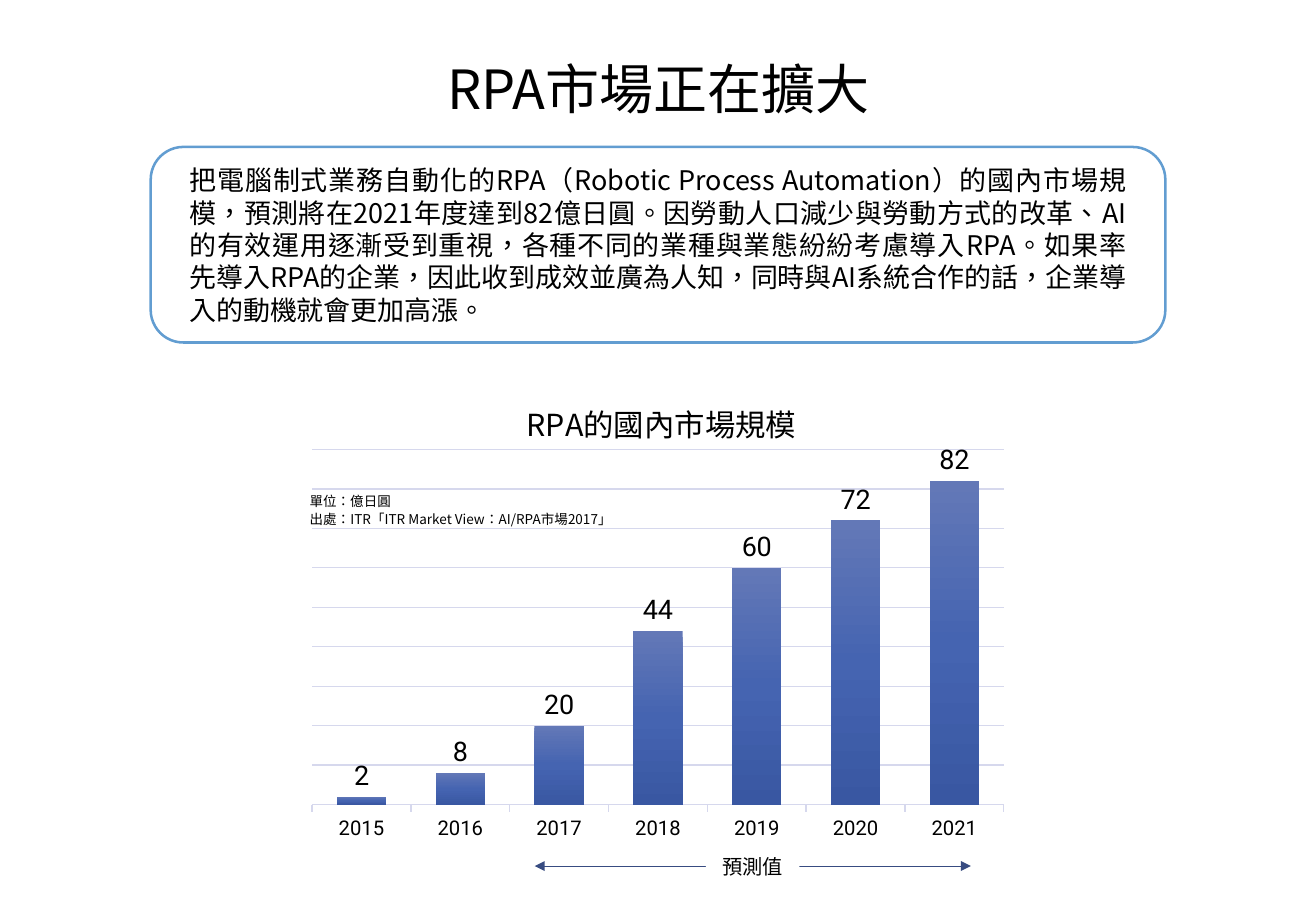
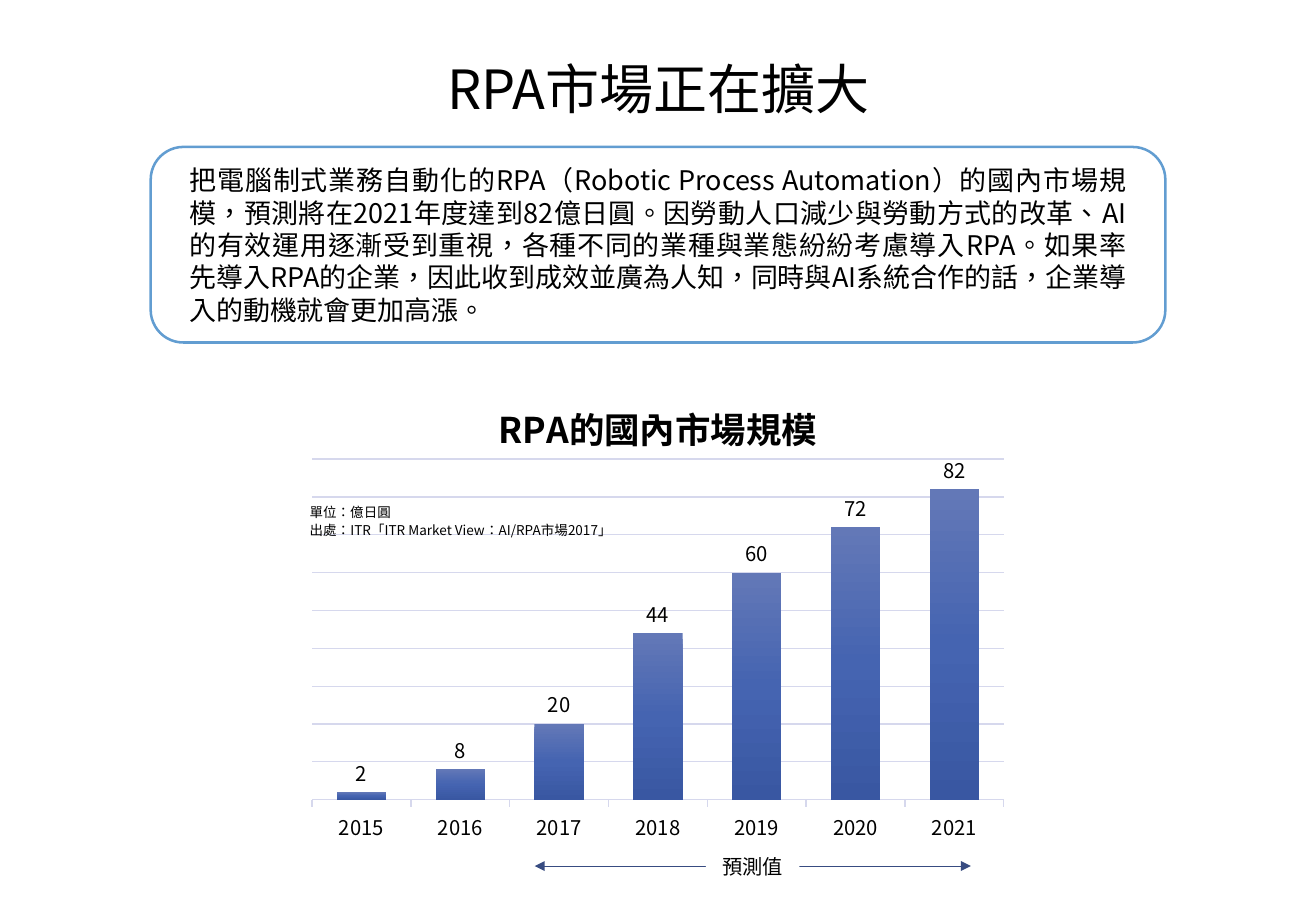
"""Build two slides on the growth of the RPA market."""
from pptx import Presentation
from pptx.chart.data import CategoryChartData
from pptx.dml.color import RGBColor
from pptx.enum import chart as charts, lang, shapes, text
from pptx.oxml import parse_xml
from pptx.oxml.ns import nsdecls, qn
from pptx.util import Inches, Pt

BLACK = RGBColor(0x00, 0x00, 0x00)
WHITE = RGBColor(0xFF, 0xFF, 0xFF)
FRAME_BLUE = RGBColor(0x62, 0x9D, 0xD1)
ARROW_BLUE = RGBColor(0x38, 0x4C, 0x81)
GRID_GREY = RGBColor(0xD6, 0xD8, 0xED)
BAR_GRADIENT = [
    (0, RGBColor(0x63, 0x78, 0xB7)),
    (50, RGBColor(0x45, 0x64, 0xB1)),
    (100, RGBColor(0x39, 0x57, 0xA2)),
]

TITLE = "RPA市場正在擴大"
SUMMARY = (
    "把電腦制式業務自動化的RPA（Robotic Process Automation）的國內市場規模，"
    "預測將在2021年度達到82億日圓。因勞動人口減少與勞動方式的改革、"
    "AI的有效運用逐漸受到重視，各種不同的業種與業態紛紛考慮導入RPA。"
    "如果率先導入RPA的企業，因此收到成效並廣為人知，同時與AI系統合作的話，"
    "企業導入的動機就會更加高漲。"
)
CHART_TITLE = "RPA的國內市場規模"
NOTE = "單位：億日圓\n出處：ITR「ITR Market View：AI/RPA市場2017」"
FORECAST = "預測值"
MARKET = {"2015": 2, "2016": 8, "2017": 20, "2018": 44, "2019": 60, "2020": 72, "2021": 82}

SLIDES = [
    {
        "font": "Noto Sans CJK SC", "chart_font": "Roboto", "label_size": 16, "note_top": 4.01,
        "chart_title": {"size": 18}, "title_place": {"x": 0.31, "y": 0.05},
        "plot_place": {"x": 0.02, "y": 0.17, "w": 0.96, "h": 0.74},
    },
    {
        "font": "Noto Sans CJK JP", "chart_font": "Noto Sans CJK JP", "label_size": 12, "note_top": 4.1,
        "chart_title": {"size": 21, "bold": True}, "title_place": {"x": 0.27, "y": 0.05},
        "plot_place": {"x": 0.02, "y": 0.19, "w": 0.96, "h": 0.71},
    },
]


def write(frame, content, font, size, bold=False, align=None, line_height=None):
    """Fill a text frame, one paragraph for each line of content."""
    for index, line in enumerate(content.split("\n")):
        paragraph = frame.add_paragraph() if index else frame.paragraphs[0]
        paragraph.alignment = align
        if line_height:
            paragraph.line_spacing = Pt(line_height)
        run = paragraph.add_run()
        run.text = line
        style(run.font, font, size, bold)
        run.font.language_id = lang.MSO_LANGUAGE_ID.TRADITIONAL_CHINESE
        latin = run.font._element.find(qn("a:latin"))
        latin.addnext(parse_xml(f'<a:ea {nsdecls("a")} typeface="{font}"/>'))


def style(font, name, size, bold=False):
    """Set the face, size, weight and colour of a font."""
    font.name, font.size, font.bold = name, Pt(size), bold
    font.color.rgb = BLACK


def add_text(slide, box, content, **text_format):
    """Add a text box and return it."""
    shape = slide.shapes.add_textbox(*map(Inches, box))
    shape.text_frame.word_wrap = True
    shape.text_frame.vertical_anchor = text.MSO_ANCHOR.MIDDLE
    write(shape.text_frame, content, **text_format)
    return shape


def set_line(line, color, width):
    """Set the colour and width of a line."""
    line.color.rgb, line.width = color, Pt(width)


def manual_layout(place, target=""):
    """Return a chart layout with fractions of the chart's size."""
    modes = "".join(f'<c:{key}Mode val="edge"/>' for key in "xy")
    values = "".join(f'<c:{key} val="{value}"/>' for key, value in place.items())
    return parse_xml(
        f'<c:layout {nsdecls("c")}><c:manualLayout>{target}{modes}{values}</c:manualLayout></c:layout>'
    )


def drop_layout(element):
    """Remove the layout of a chart part."""
    for layout in element.findall(qn("c:layout")):
        element.remove(layout)


def add_market_chart(slide, spec_values):
    """Add the column chart of the market size."""
    data = CategoryChartData()
    data.categories = list(MARKET)
    data.add_series("Series 1", list(MARKET.values()))
    chart = slide.shapes.add_chart(
        charts.XL_CHART_TYPE.COLUMN_CLUSTERED, *map(Inches, (2.45, 3.03, 5.93, 3.95)), data
    ).chart
    face = spec_values["chart_font"]
    style(chart.font, face, 10)
    chart.has_legend = False

    chart.has_title = True
    write(chart.chart_title.text_frame, CHART_TITLE, spec_values["font"], **spec_values["chart_title"])
    title = chart.chart_title._element
    drop_layout(title)
    title.find(qn("c:tx")).addnext(manual_layout(spec_values["title_place"]))
    plot_area = chart._chartSpace.chart.plotArea
    drop_layout(plot_area)
    plot_area.insert(0, manual_layout(spec_values["plot_place"], '<c:layoutTarget val="inner"/>'))

    category_axis, value_axis = chart.category_axis, chart.value_axis
    category_axis.major_tick_mark = charts.XL_TICK_MARK.OUTSIDE
    style(category_axis.tick_labels.font, face, 12)
    set_line(category_axis.format.line, GRID_GREY, 0.75)
    value_axis.minimum_scale, value_axis.maximum_scale, value_axis.major_unit = 0, 90, 10
    value_axis.has_major_gridlines = True
    set_line(value_axis.major_gridlines.format.line, GRID_GREY, 0.75)
    value_axis.visible = False

    plot = chart.plots[0]
    plot.gap_width, plot.overlap, plot.vary_by_categories = 100, -24, False
    plot.has_data_labels = True
    labels = plot.data_labels
    labels.show_value = True
    labels.position = charts.XL_LABEL_POSITION.OUTSIDE_END
    style(labels.font, face, spec_values["label_size"])
    stops = "".join(
        f'<a:gs pos="{position * 1000}"><a:srgbClr val="{color}"/></a:gs>' for position, color in BAR_GRADIENT
    )
    plot.series[0]._element.get_or_add_spPr().append(parse_xml(
        f'<a:gradFill {nsdecls("a")}><a:gsLst>{stops}</a:gsLst><a:lin ang="5400000" scaled="0"/></a:gradFill>'
    ))


def add_forecast_arrow(slide):
    """Add the double arrow below the forecast years."""
    arrow = slide.shapes.add_connector(
        shapes.MSO_CONNECTOR.STRAIGHT, *map(Inches, (4.4, 7.13, 7.99, 7.13))
    )
    set_line(arrow.line, ARROW_BLUE, 0.5)
    for end in ("headEnd", "tailEnd"):
        arrow.line._get_or_add_ln().append(parse_xml(f'<a:{end} {nsdecls("a")} type="triangle"/>'))
    arrow._element.spPr.append(parse_xml(f'<a:effectLst {nsdecls("a")}/>'))


def add_market_slide(presentation, spec_values):
    """Add one slide with the summary and the chart."""
    slide = presentation.slides.add_slide(presentation.slide_layouts[6])
    font = spec_values["font"]
    add_text(slide, (1.46, 1.29, 7.91, 1.45), SUMMARY, font=font, size=16,
             align=text.PP_ALIGN.JUSTIFY, line_height=19.2)
    add_market_chart(slide, spec_values)
    add_forecast_arrow(slide)
    forecast = add_text(slide, (5.81, 6.98, 0.77, 0.3), FORECAST, font=font, size=12,
                        align=text.PP_ALIGN.CENTER)
    forecast.fill.solid()
    forecast.fill.fore_color.rgb = WHITE
    add_text(slide, (2.45, spec_values["note_top"], 2.93, 0.37), NOTE, font=font, size=8, line_height=10.4)
    frame = slide.shapes.add_shape(
        shapes.MSO_SHAPE.ROUNDED_RECTANGLE, *map(Inches, (1.24, 1.21, 8.35, 1.61))
    )
    frame.shadow.inherit = False
    frame.fill.background()
    set_line(frame.line, FRAME_BLUE, 1.5)
    add_text(slide, (1.96, 0.4, 6.92, 0.64), TITLE, font=font, size=32, align=text.PP_ALIGN.CENTER)


def main():
    """Build and save the presentation."""
    presentation = Presentation()
    presentation.slide_width, presentation.slide_height = Inches(10.83), Inches(7.5)
    for spec_values in SLIDES:
        add_market_slide(presentation, spec_values)
    presentation.save("out.pptx")


if __name__ == "__main__":
    main()
